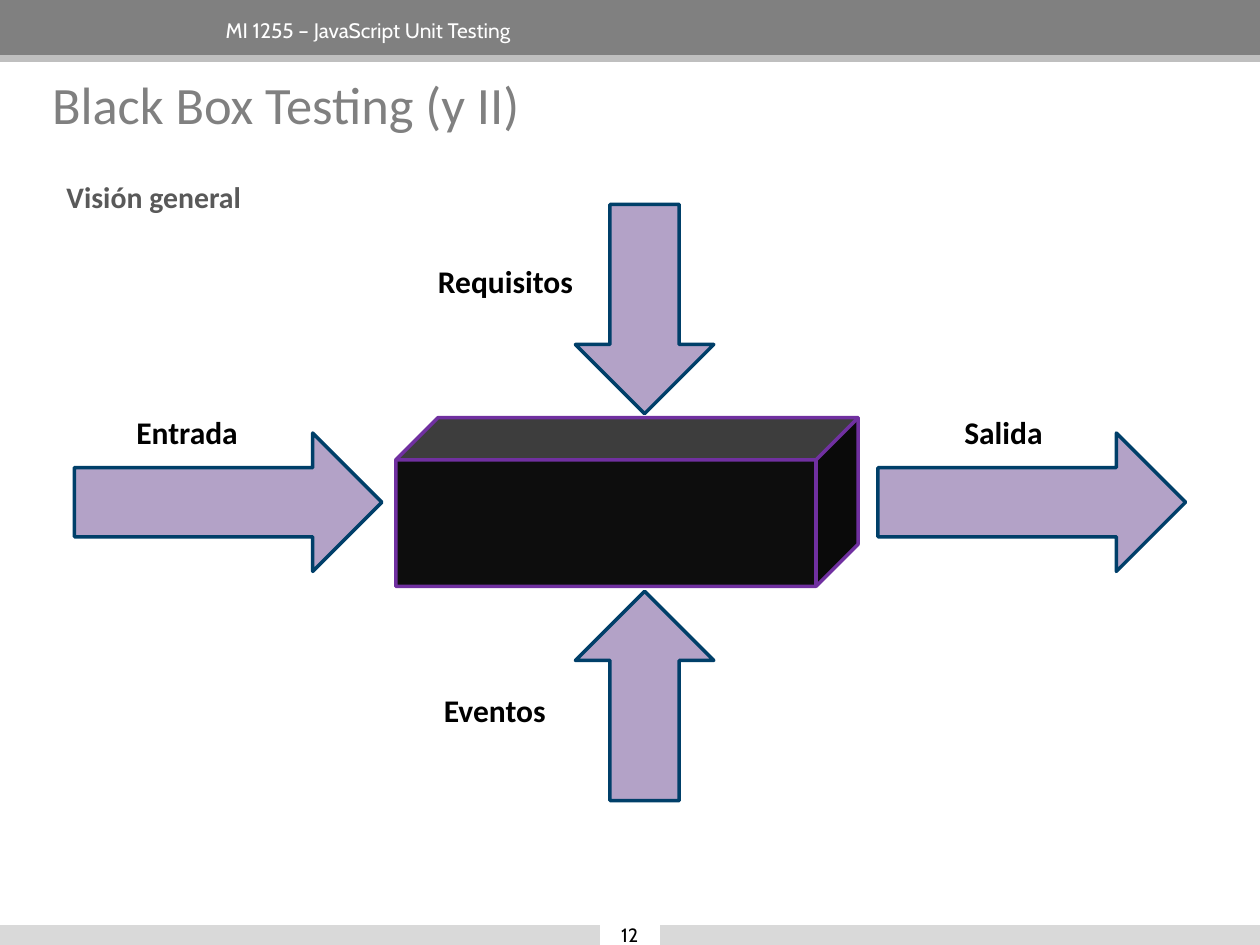
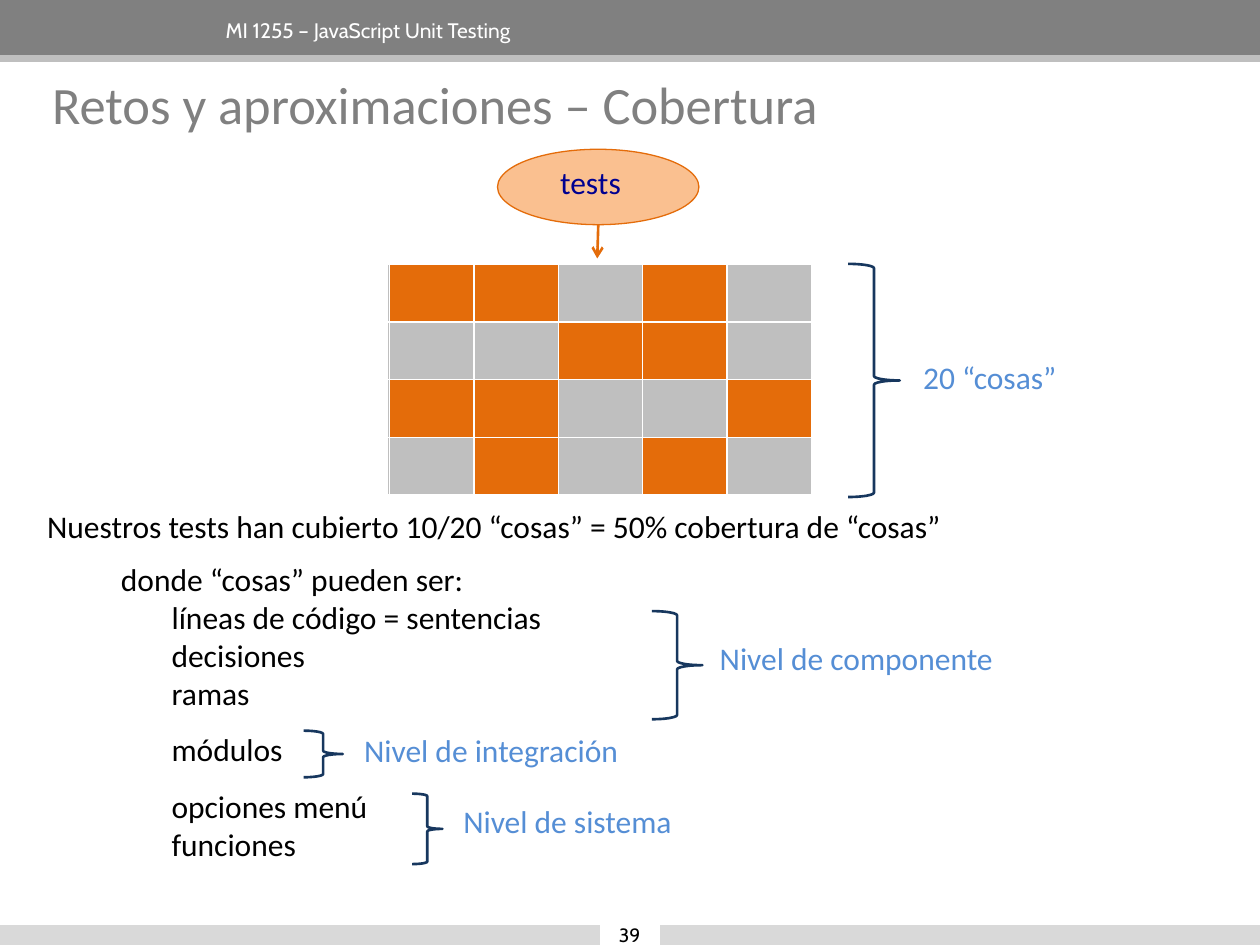
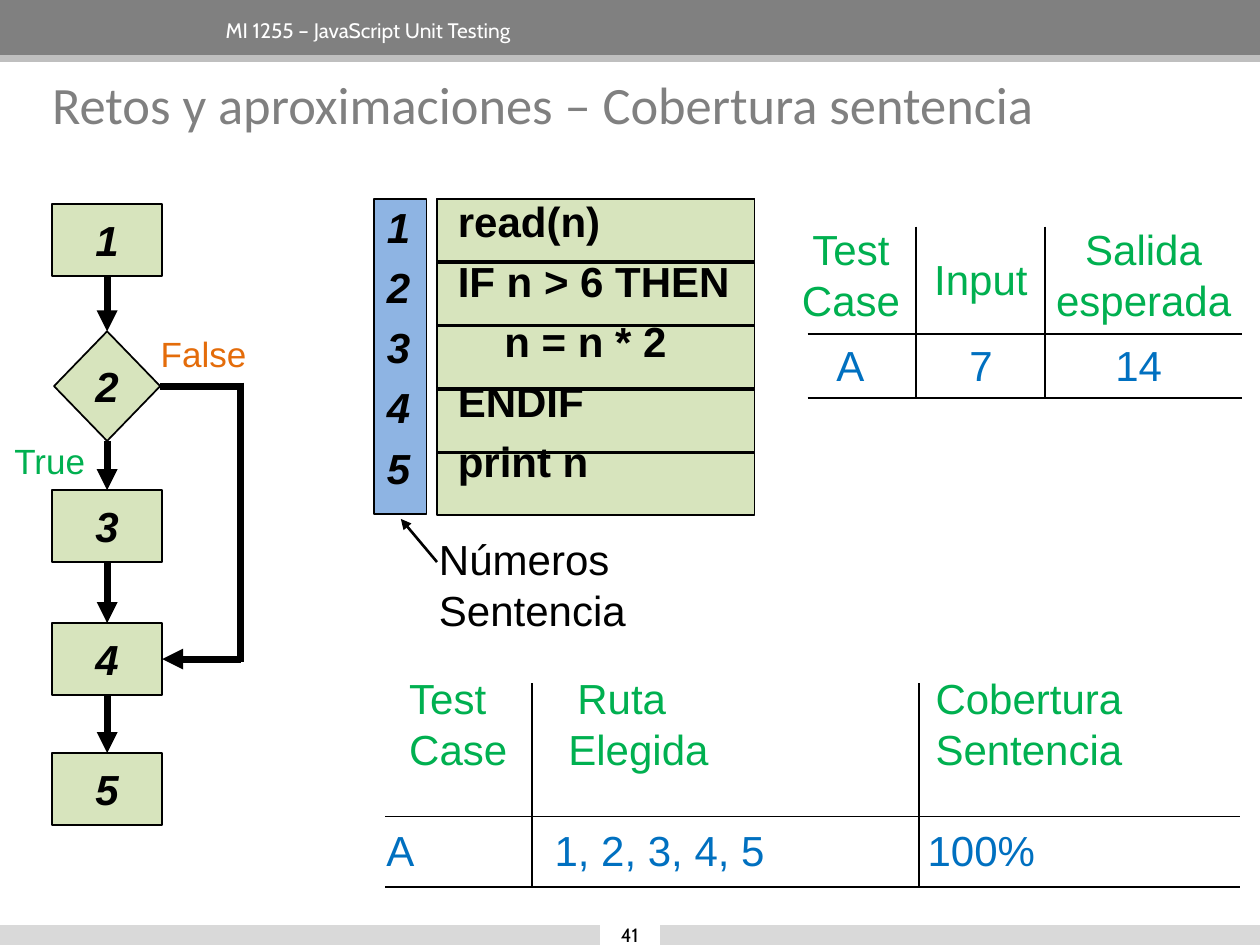
from dataclasses import dataclass
from typing import NamedTuple, Optional

from lxml.etree import SubElement
from pptx import Presentation
from pptx.dml.color import RGBColor
from pptx.enum.shapes import MSO_CONNECTOR, MSO_SHAPE
from pptx.enum.text import MSO_ANCHOR, PP_ALIGN
from pptx.oxml.ns import qn
from pptx.shapes.autoshape import Shape
from pptx.shapes.connector import Connector
from pptx.slide import Slide
from pptx.text.text import TextFrame
from pptx.util import Cm, Pt


@dataclass(frozen=True)
class Theme:
    white: str = "FFFFFF"
    black: str = "000000"
    band: str = "808080"
    stripe: str = "BFBFBF"
    foot: str = "D9D9D9"
    gray: str = "595959"
    lilac: str = "B3A2C7"
    teal: str = "003F69"
    dark: str = "0D0D0D"
    purple: str = "7030A0"
    orange: str = "E46C0A"
    peach: str = "FAC090"
    navy: str = "17375E"
    ink: str = "000090"
    sky: str = "558ED5"
    pale: str = "8EB4E3"
    leaf: str = "D7E4BD"
    deep: str = "00558E"
    green: str = "00B050"
    blue: str = "0070C0"
    sans: str = "Calibri"
    brand: str = "Cabin"
    plain: str = "Arial"
    title: int = 30
    code: int = 24
    branch: int = 20
    body: int = 18
    lead: int = 17
    head: int = 12
    page: int = 11


T = Theme()


class Box(NamedTuple):
    x: float
    y: float
    w: float
    h: float

    def lengths(self) -> list[Cm]:
        return [Cm(v) for v in self]


class Point(NamedTuple):
    x: float
    y: float


class Joint(NamedTuple):
    shape: Shape
    site: int


@dataclass(frozen=True)
class Look:
    color: str = T.black
    size: int = T.body
    font: str = T.sans
    bold: bool = False
    slant: bool = False
    align: PP_ALIGN = PP_ALIGN.LEFT


@dataclass(frozen=True)
class Node:
    text: str
    box: Box
    kind: MSO_SHAPE = MSO_SHAPE.RECTANGLE


@dataclass(frozen=True)
class Brace:
    box: Box
    text: str
    label: Box


@dataclass(frozen=True)
class Row:
    text: str
    stops: tuple[float, ...]
    color: str = T.green
    gap: float = 0


BOLD = Look(bold=True)
MID = Look(bold=True, align=PP_ALIGN.CENTER)
CODE = Look(size=T.code, font=T.plain, bold=True)
STEP = Look(size=T.code, font=T.plain, bold=True, slant=True, align=PP_ALIGN.CENTER)
HEAD = Look(T.green, T.code, T.plain, align=PP_ALIGN.CENTER)
DATA = Look(T.blue, T.code, T.plain, align=PP_ALIGN.CENTER)


def rgb(color: str) -> RGBColor:
    return RGBColor.from_string(color)


def write(frame: TextFrame, text: str, look: Look) -> None:
    frame.text = text
    for para in frame.paragraphs:
        para.alignment = look.align
        for run in para.runs:
            font = run.font
            font.name, font.size = look.font, Pt(look.size)
            font.bold, font.italic = look.bold, look.slant
            font.color.rgb = rgb(look.color)


def label(slide: Slide, box: Box, text: str, look: Look) -> TextFrame:
    frame = slide.shapes.add_textbox(*box.lengths()).text_frame
    frame.word_wrap = True
    write(frame, text, look)
    return frame


def panel(slide: Slide, box: Box, fill: Optional[str], edge: Optional[str] = None,
          width: float = 1, kind: MSO_SHAPE = MSO_SHAPE.RECTANGLE) -> Shape:
    shape = slide.shapes.add_shape(kind, *box.lengths())
    shape.shadow.inherit = False
    if fill:
        shape.fill.solid()
        shape.fill.fore_color.rgb = rgb(fill)
    else:
        shape.fill.background()
    if edge:
        shape.line.color.rgb = rgb(edge)
        shape.line.width = Pt(width)
    else:
        shape.line.fill.background()
    return shape


def caption(shape: Shape, text: str, look: Look) -> None:
    frame = shape.text_frame
    frame.margin_left = frame.margin_right = 0
    frame.margin_top = frame.margin_bottom = 0
    frame.vertical_anchor = MSO_ANCHOR.MIDDLE
    write(frame, text, look)


def site(joint: Joint) -> Point:
    s = joint.shape
    spots = [(s.width / 2, 0), (0, s.height / 2),
             (s.width / 2, s.height), (s.width, s.height / 2)]
    dx, dy = spots[joint.site]
    return Point((s.left + dx) / Cm(1), (s.top + dy) / Cm(1))


def link(slide: Slide, start: Point | Joint, end: Point | Joint, width: float = 1,
         color: str = T.black, tip: Optional[str] = None) -> Connector:
    ends = [site(e) if isinstance(e, Joint) else e for e in (start, end)]
    line = slide.shapes.add_connector(
        MSO_CONNECTOR.STRAIGHT, *[Cm(v) for e in ends for v in e])
    if isinstance(start, Joint):
        line.begin_connect(*start)
    if isinstance(end, Joint):
        line.end_connect(*end)
    line.line.color.rgb = rgb(color)
    line.line.width = Pt(width)
    if tip:
        SubElement(line.line._get_or_add_ln(), qn("a:tailEnd"), type=tip)
    SubElement(line._element.spPr, qn("a:effectLst"))
    return line


def rules(slide: Slide, box: Box, cols: list[float], rows: list[float]) -> None:
    for x in cols:
        link(slide, Point(x, box.y), Point(x, box.y + box.h))
    for y in rows:
        link(slide, Point(box.x, y), Point(box.x + box.w, y))


def border(cell, color: str) -> None:
    props = cell._tc.get_or_add_tcPr()
    for side in "LRTB":
        line = SubElement(props, qn("a:ln" + side), w=str(Pt(1)))
        fill = SubElement(line, qn("a:solidFill"))
        SubElement(fill, qn("a:srgbClr"), val=color)


def mosaic(slide: Slide, box: Box, marks: list[str]) -> None:
    table = slide.shapes.add_table(len(marks), len(marks[0]), *box.lengths()).table
    table.first_row = table.horz_banding = False
    for r, row in enumerate(marks):
        for c, mark in enumerate(row):
            cell = table.cell(r, c)
            border(cell, T.white)
            cell.fill.solid()
            cell.fill.fore_color.rgb = rgb(T.orange if mark == "X" else T.stripe)


def base(deck: Presentation, title: str, page: int) -> Slide:
    slide = deck.slides.add_slide(deck.slide_layouts[6])
    panel(slide, Box(0, 0, 25.4, 1.12), T.band)
    label(slide, Box(4.3, 0.23, 18.06, 0.79), "MI 1255 – JavaScript Unit Testing",
          Look(T.white, T.head, T.brand))
    panel(slide, Box(0, 1.11, 25.4, 0.14), T.stripe)
    panel(slide, Box(0, 18.65, 25.4, 0.4), T.foot)
    label(slide, Box(0.8, 1.32, 24.21, 2.59), title, Look(T.band, T.title))
    tab = panel(slide, Box(12.1, 18.65, 1.19, 0.4), T.white, T.white, 0.75)
    caption(tab, str(page), Look(T.black, T.page, T.brand, align=PP_ALIGN.CENTER))
    return slide


def black_box(deck: Presentation) -> None:
    slide = base(deck, "Black Box Testing (y II)", 12)
    lead = label(slide, Box(1.09, 3.12, 23.65, 14.7), "Visión general",
                 Look(T.gray, T.lead, bold=True))
    lead.paragraphs[0].line_spacing = 1.5
    panel(slide, Box(7.98, 8.42, 9.32, 3.4), T.dark, T.purple, 2, MSO_SHAPE.CUBE)
    flows = [
        (MSO_SHAPE.RIGHT_ARROW, Box(1.5, 8.73, 6.2, 2.79),
         "Entrada", Box(2.5, 8.21, 3, 1.02), BOLD),
        (MSO_SHAPE.RIGHT_ARROW, Box(17.7, 8.73, 6.2, 2.79),
         "Salida", Box(17.93, 8.21, 4.6, 1.02), MID),
        (MSO_SHAPE.DOWN_ARROW, Box(11.6, 4.12, 2.79, 4.22),
         "Requisitos", Box(8.58, 5.16, 4.01, 1.02), BOLD),
        (MSO_SHAPE.UP_ARROW, Box(11.6, 11.92, 2.79, 4.22),
         "Eventos", Box(8.7, 13.8, 4.01, 1.02), BOLD),
    ]
    for kind, box, text, spot, look in flows:
        panel(slide, box, T.lilac, T.teal, 2, kind)
        label(slide, spot, text, look)


def cover(deck: Presentation) -> None:
    slide = base(deck, "Retos y aproximaciones – Cobertura", 39)
    mosaic(slide, Box(7.8, 5.33, 8.51, 4.65), ["....."] * 4)
    panel(slide, Box(10.03, 3.01, 4.06, 1.52), T.peach, T.orange, 0.75, MSO_SHAPE.OVAL)
    label(slide, Box(10.37, 3.17, 3.07, 1.02), "tests",
          Look(T.ink, align=PP_ALIGN.CENTER))
    link(slide, Point(12.06, 4.54), Point(12.04, 5.21), 1.5, T.orange, "arrow")
    mosaic(slide, Box(7.85, 5.33, 8.51, 4.65), ["XX.X.", "..XX.", "XX..X", ".X.X."])

    label(slide, Box(0.7, 10.09, 23.75, 1.02),
          "Nuestros tests han cubierto 10/20 “cosas” = 50% cobertura de “cosas”", Look())
    things = ["donde “cosas” pueden ser:", "líneas de código = sentencias", "decisiones",
              "ramas", "módulos", "opciones menú", "funciones"]
    frame = label(slide, Box(2.19, 11.17, 18.08, 6.4), "\n".join(things), Look())
    for para in frame.paragraphs[1:]:
        para._p.get_or_add_pPr().set("marL", str(Cm(1.02)))
        if para.text in ("módulos", "opciones menú"):
            para.space_before = Pt(10.8)

    braces = [
        Brace(Box(17.1, 5.32, 1.04, 4.7), "20 “cosas”", Box(18.36, 7.09, 6.1, 1.02)),
        Brace(Box(13.14, 12.32, 1.02, 2.18), "Nivel de componente",
              Box(14.26, 12.75, 7.49, 1.02)),
        Brace(Box(6.12, 14.73, 0.79, 0.94), "Nivel de integración",
              Box(7.09, 14.61, 6.83, 1.02)),
        Brace(Box(8.31, 16, 0.61, 1.42), "Nivel de sistema", Box(9.09, 16.04, 6.1, 1.02)),
    ]
    for brace in braces:
        panel(slide, brace.box, None, T.navy, 1.5, MSO_SHAPE.RIGHT_BRACE)
        label(slide, brace.label, brace.text, Look(T.sky))


def flow(slide: Slide) -> None:
    nodes = [
        Node("1", Box(1.05, 4.11, 2.22, 1.45)),
        Node("2", Box(1.09, 6.68, 2.14, 2.21), MSO_SHAPE.DIAMOND),
        Node("3", Box(1.05, 9.88, 2.22, 1.45)),
        Node("4", Box(1.05, 12.56, 2.22, 1.45)),
        Node("5", Box(1.05, 15.18, 2.22, 1.45)),
    ]
    shapes = []
    for node in nodes:
        shape = panel(slide, node.box, T.leaf, T.black, 1, node.kind)
        caption(shape, node.text, STEP)
        shapes.append(shape)
    for above, below in zip(shapes, shapes[1:]):
        link(slide, Joint(above, 2), Joint(below, 0), 4, tip="triangle")

    turn, half = 4.85, 0.07
    start, end = Joint(shapes[1], 3), Joint(shapes[3], 3)
    top, low = site(start).y, site(end).y
    link(slide, start, Point(turn, top), 4)
    link(slide, Point(turn, top - half), Point(turn, low + half), 4)
    link(slide, Point(turn, low), end, 4, tip="triangle")
    label(slide, Box(0.04, 8.74, 2.4, 1.12), "True", Look(T.green, T.branch, T.plain))
    label(slide, Box(2.99, 6.58, 2.6, 1.12), "False", Look(T.orange, T.branch, T.plain))


def listing(slide: Slide) -> None:
    lines = ["read(n)", "IF n > 6 THEN", "    n = n * 2", "ENDIF", "print n"]
    panel(slide, Box(8.81, 4.02, 6.4, 6.35), T.deep, T.black)
    for i in range(len(lines)):
        panel(slide, Box(8.81, 4.02 + i * 1.28, 6.4, 1.25), T.leaf, T.black)
    panel(slide, Box(7.54, 4.02, 1.06, 6.35), T.pale, T.black)
    code = label(slide, Box(9.05, 4, 6.32, 6.12), "\n".join(lines), CODE)
    code.margin_left = code.margin_right = Cm(0.18)
    code.margin_top = code.margin_bottom = Cm(0.08)
    count = label(slide, Box(7.5, 4.01, 1.07, 6.12),
                  "\n".join(str(i + 1) for i in range(len(lines))), STEP)
    count.margin_left = count.margin_right = 0
    count.vertical_anchor = MSO_ANCHOR.MIDDLE
    for frame in (code, count):
        for i, para in enumerate(frame.paragraphs):
            para.line_spacing = 0.86
            if i:
                para.space_before = Pt(9.6)
    note = label(slide, Box(8.6, 10.47, 4.62, 2.62), "Números\nSentencia",
                 Look(size=T.code, font=T.plain))
    note.vertical_anchor = MSO_ANCHOR.MIDDLE
    link(slide, Point(8.81, 11.33), Point(8.08, 10.46), 1.5, tip="triangle")


def cases(slide: Slide) -> None:
    fields = [
        ("Test\nCase", Box(15.9, 4.39, 2.51, 2.31), HEAD),
        ("Input", Box(18.57, 4.98, 2.41, 1.3), HEAD),
        ("Salida\nesperada", Box(21.01, 4.39, 4.09, 2.31), HEAD),
        ("A", Box(16.61, 6.71, 1.07, 1.27), DATA),
        ("7", Box(19.28, 6.71, 0.99, 1.27), DATA),
        ("14", Box(22.23, 6.71, 1.45, 1.27), DATA),
    ]
    for text, box, look in fields:
        frame = label(slide, box, text, look)
        frame.margin_left = frame.margin_right = 0
    rules(slide, Box(16.28, 4.57, 8.76, 3.46), [18.47, 21.06], [6.73, 8.03])


def routes(slide: Slide) -> None:
    rows = [
        Row("\tTest\tRuta\tCobertura", (0.46, 3.85, 11.07)),
        Row("\tCase\tElegida\tSentencia", (0.46, 3.67, 11.07)),
        Row("A\t1, 2, 3, 4, 5\t100%", (3.39, 10.91), T.blue, 28.8),
    ]
    frame = label(slide, Box(7.54, 13.44, 17.48, 4.37),
                  "\n".join(row.text for row in rows),
                  Look(size=T.code, font=T.plain))
    for row, para in zip(rows, frame.paragraphs):
        tabs = SubElement(para._p.get_or_add_pPr(), qn("a:tabLst"))
        for stop in row.stops:
            SubElement(tabs, qn("a:tab"), pos=str(Cm(stop)), algn="l")
        if row.gap:
            para.space_before = Pt(row.gap)
        for run in para.runs:
            run.font.color.rgb = rgb(row.color)
    rules(slide, Box(7.77, 13.77, 17.22, 4.11), [10.72, 18.52], [16.46, 17.88])


def clause(deck: Presentation) -> None:
    slide = base(deck, "Retos y aproximaciones – Cobertura sentencia", 41)
    for part in (flow, listing, cases, routes):
        part(slide)


def main() -> None:
    deck = Presentation()
    deck.slide_width, deck.slide_height = Cm(25.4), Cm(19.05)
    for draw in (black_box, cover, clause):
        draw(deck)
    deck.save("out.pptx")


if __name__ == "__main__":
    main()
